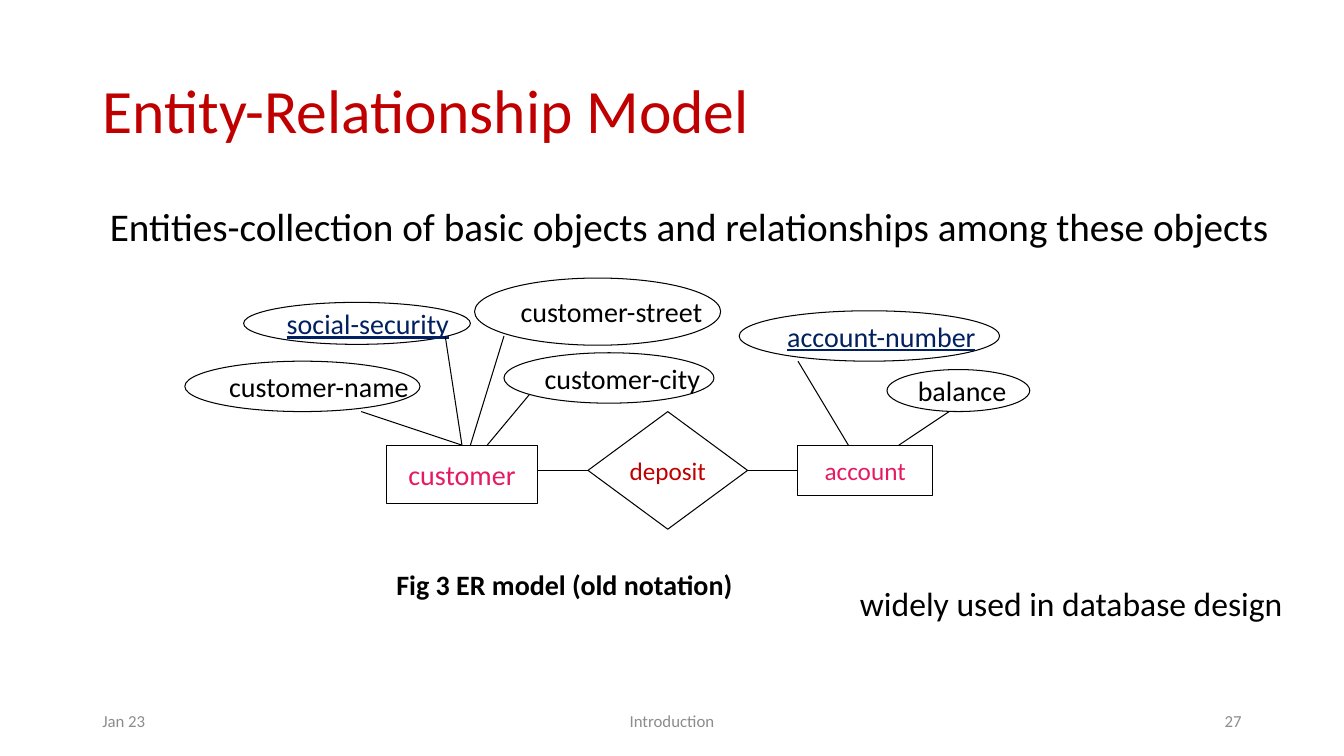
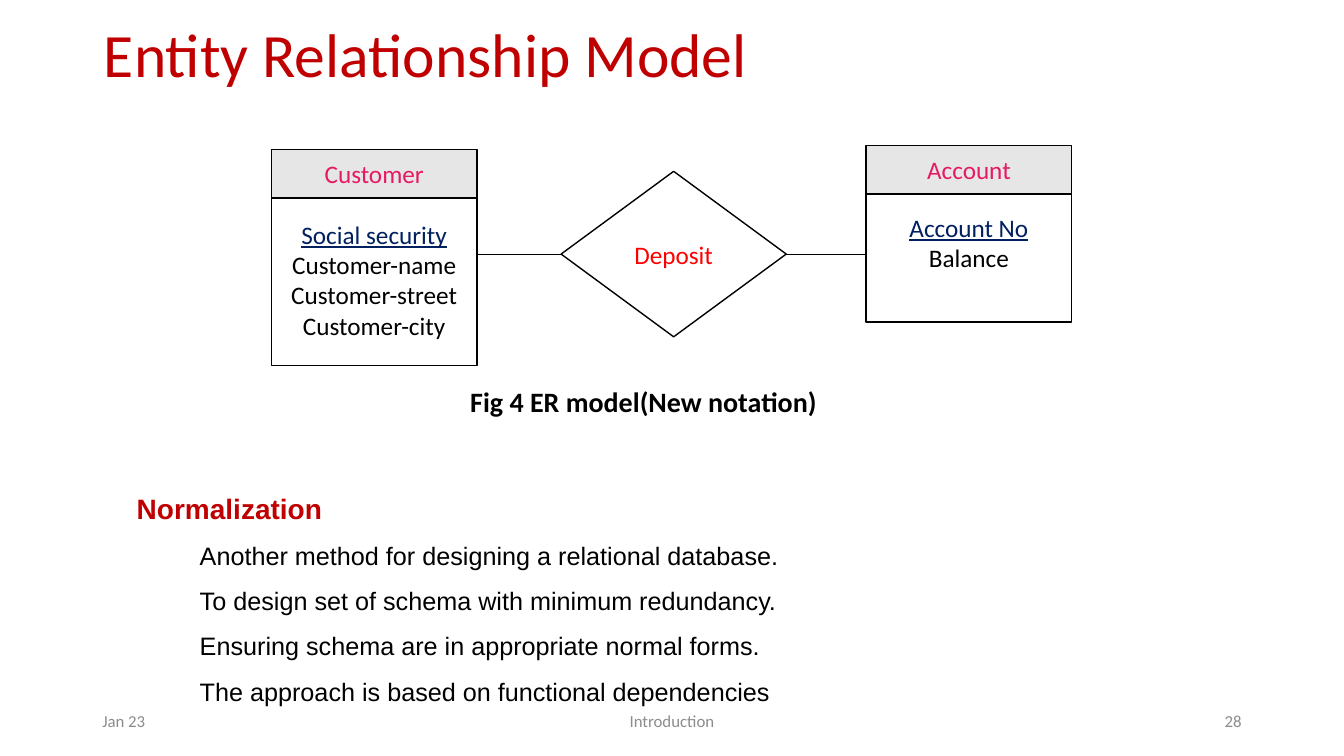
"""Build two slides that show the entity-relationship model in old and new notation."""
from dataclasses import dataclass, replace
from typing import NamedTuple, Optional

from lxml import etree
from pptx import Presentation
from pptx import util as u
from pptx.dml.color import RGBColor
from pptx.enum import shapes, text
from pptx.oxml.ns import qn

COLUMNS, ROWS = 160, 90
CELL = u.Inches(1) // 12

BLACK = RGBColor(0x00, 0x00, 0x00)
WHITE = RGBColor(0xFF, 0xFF, 0xFF)
GREY = RGBColor(0x8C, 0x8C, 0x8C)
HEADER_GREY = RGBColor(0xE7, 0xE6, 0xE6)
CRIMSON = RGBColor(0xC0, 0x00, 0x00)
RED = RGBColor(0xFF, 0x00, 0x00)
PINK = RGBColor(0xE6, 0x1A, 0x63)
NAVY = RGBColor(0x00, 0x20, 0x60)

LEFT, CENTER, RIGHT = text.PP_ALIGN.LEFT, text.PP_ALIGN.CENTER, text.PP_ALIGN.RIGHT
TOP, MIDDLE = text.MSO_ANCHOR.TOP, text.MSO_ANCHOR.MIDDLE
RECTANGLE = shapes.MSO_SHAPE.RECTANGLE
DIAMOND = shapes.MSO_SHAPE.DIAMOND
OVAL = shapes.MSO_SHAPE.OVAL


class Area(NamedTuple):
    """A place on the slide, in grid columns and rows."""
    left: float
    top: float
    width: float
    height: float


class Link(NamedTuple):
    """A straight line between two grid points."""
    x1: float
    y1: float
    x2: float
    y2: float


@dataclass(frozen=True)
class Style:
    """The look of one paragraph."""
    size: int
    color: RGBColor = BLACK
    align: text.PP_ALIGN = LEFT
    font: str = "Calibri"
    bold: bool = False
    underline: bool = False
    spacing: float = 1.0
    indent: float = 0


@dataclass(frozen=True)
class Line:
    """One paragraph of text with its style."""
    words: str
    style: Style


@dataclass(frozen=True)
class Node:
    """An outlined part of an ER diagram."""
    kind: shapes.MSO_SHAPE
    area: Area
    lines: tuple[Line, ...]
    fill: Optional[RGBColor] = None
    weight: float = 0.75
    wrap: bool = False
    space_below: float = 0


TITLE = Style(44, CRIMSON, spacing=0.9)
FOOTER = Style(12, GREY)
CAPTION = Style(20, bold=True)
ATTRIBUTE = Style(20)
KEY = Style(20, NAVY, underline=True)
ENTITY = Style(18, PINK, CENTER)
FIELD = Style(18, align=CENTER)
KEY_FIELD = replace(FIELD, color=NAVY, underline=True)
HEADING = Style(20, CRIMSON, font="Arial", bold=True, spacing=1.5)
POINT = Style(18, font="Arial", spacing=1.5, indent=7.5)


def cells(count: float) -> u.Emu:
    """Turn a count of grid cells into a length."""
    return u.Emu(round(count * CELL))


def write(frame, lines: tuple[Line, ...], anchor: text.MSO_ANCHOR, wrap: bool) -> None:
    """Fill a text frame with styled paragraphs."""
    frame.word_wrap = wrap
    frame.vertical_anchor = anchor
    for index, line in enumerate(lines):
        paragraph = frame.paragraphs[0] if index == 0 else frame.add_paragraph()
        style = line.style
        paragraph.text = line.words
        paragraph.alignment = style.align
        paragraph.line_spacing = style.spacing
        if style.indent:
            paragraph._p.get_or_add_pPr().set("marL", str(cells(style.indent)))
        font = paragraph.font
        font.name, font.size = style.font, u.Pt(style.size)
        font.bold, font.underline = style.bold, style.underline
        font.color.rgb = style.color


def add_text(slide, area: Area, *lines: Line,
             anchor: text.MSO_ANCHOR = TOP, wrap: bool = True) -> None:
    """Add a text box."""
    box = slide.shapes.add_textbox(*map(cells, area))
    write(box.text_frame, lines, anchor, wrap)


def add_node(slide, node: Node) -> None:
    """Draw one diagram part with its text."""
    shape = slide.shapes.add_shape(node.kind, *map(cells, node.area))
    shape.shadow.inherit = False
    if node.fill is None:
        shape.fill.background()
    else:
        shape.fill.solid()
        shape.fill.fore_color.rgb = node.fill
    shape.line.color.rgb = BLACK
    shape.line.width = u.Pt(node.weight)
    write(shape.text_frame, node.lines, MIDDLE, node.wrap)
    shape.text_frame.margin_bottom += cells(node.space_below)


def add_link(slide, link: Link, weight: float) -> None:
    """Draw one black line without a shadow."""
    line = slide.shapes.add_connector(shapes.MSO_CONNECTOR.STRAIGHT, *map(cells, link))
    line.line.color.rgb = BLACK
    line.line.width = u.Pt(weight)
    etree.SubElement(line._element.spPr, qn("a:effectLst"))


def add_page(deck, title: str, title_left: float, title_top: float, number: int):
    """Add a blank slide with the title and footers."""
    slide = deck.slides.add_slide(deck.slide_layouts[6])
    add_text(slide, Area(title_left, title_top, 138, 17.4), Line(title, TITLE), anchor=MIDDLE)
    footers = ((11, 36, "Jan 23", LEFT), (53, 54, "Introduction", CENTER),
               (113, 36, str(number), RIGHT))
    for left, width, words, align in footers:
        add_text(slide, Area(left, 83.4, width, 4.8),
                 Line(words, replace(FOOTER, align=align)), anchor=MIDDLE)
    return slide


def table_nodes(left: float, top: float, body_height: float, name: str,
                fields: tuple[str, ...], space_below: float = 0) -> tuple[Node, Node]:
    """Describe an entity as a body of fields, key first, under a grey header."""
    lines = tuple(Line(field, FIELD if index else KEY_FIELD)
                  for index, field in enumerate(fields))
    body = Node(RECTANGLE, Area(left, 23.05, 24.5, body_height), lines,
                WHITE, 1, True, space_below)
    header = Node(RECTANGLE, Area(left, top, 24.5, 5.78), (Line(name, ENTITY),),
                  HEADER_GREY, 1, True)
    return body, header


def build_old_notation(deck) -> None:
    """Build the slide with attributes as ovals."""
    slide = add_page(deck, "Entity-Relationship Model", 11, 4.8, 27)
    parts = (
        (RECTANGLE, Area(46, 53, 18, 7), "customer", replace(ENTITY, size=20)),
        (RECTANGLE, Area(95, 53, 16, 6), "account", ENTITY),
        (DIAMOND, Area(70, 49, 19, 14), "deposit", replace(ENTITY, color=CRIMSON)),
        (OVAL, Area(29, 36, 27, 5), "social-security", KEY),
        (OVAL, Area(56.5, 33.1, 29.3, 8), "customer-street", ATTRIBUTE),
        (OVAL, Area(22, 43, 28, 6), "customer-name", ATTRIBUTE),
        (OVAL, Area(88, 37, 31, 6), "account-number", KEY),
        (OVAL, Area(105.6, 44, 17, 5), "balance", ATTRIBUTE),
        (OVAL, Area(60, 42, 25, 6), "customer-city", ATTRIBUTE),
    )
    for kind, area, words, style in parts:
        add_node(slide, Node(kind, area, (Line(words, style),)))
    links = (
        Link(43, 49, 55, 53), Link(53, 40, 55, 53), Link(60, 40, 56, 53),
        Link(63, 47, 58, 53), Link(95, 43, 101, 53), Link(113, 49, 107, 53),
        Link(70, 56, 64, 56), Link(89, 56, 95, 56),
    )
    for link in links:
        add_link(slide, link, 0.75)
    add_text(slide, Area(46, 67, 58, 5.3), Line("Fig 3 ER model (old notation)", CAPTION))
    add_text(slide, Area(11.9, 23.5, 142, 6.8), Line(
        "Entities-collection of basic objects and relationships among these objects",
        Style(28)), wrap=False)
    add_text(slide, Area(101.2, 68.8, 53.3, 6),
             Line("widely used in database design", Style(24)), wrap=False)


def build_new_notation(deck) -> None:
    """Build the slide with attributes as table fields."""
    slide = add_page(deck, "Entity Relationship Model", 11.2, -1.8, 28)
    nodes = (
        *table_nodes(32.3, 17.78, 20.5, "Customer",
                     ("Social security", "Customer-name", "Customer-street", "Customer-city")),
        *table_nodes(103.1, 17.3, 15.3, "Account", ("Account No", "Balance"), space_below=3.66),
        Node(DIAMOND, Area(66.8, 20.4, 26.8, 19.7),
             (Line("Deposit", replace(ENTITY, color=RED)),), WHITE, 1, True),
    )
    for node in nodes:
        add_node(slide, node)
    for link in (Link(56.8, 30.25, 66.8, 30.25), Link(93.6, 30.25, 103.1, 30.25)):
        add_link(slide, link, 0.5)
    add_text(slide, Area(54.8, 45.2, 58, 5.3), Line("Fig 4 ER model(New notation)", CAPTION))
    points = (
        "Another method for designing a relational database.",
        "To design set of schema with minimum redundancy.",
        "Ensuring schema are in appropriate normal forms.",
        "The approach is based on functional dependencies",
    )
    add_text(slide, Area(15.1, 55.9, 83.5, 28.4), Line("Normalization", HEADING),
             *(Line(point, POINT) for point in points))


def main() -> None:
    """Build and save the deck."""
    deck = Presentation()
    deck.slide_width, deck.slide_height = cells(COLUMNS), cells(ROWS)
    build_old_notation(deck)
    build_new_notation(deck)
    deck.save("out.pptx")


if __name__ == "__main__":
    main()
